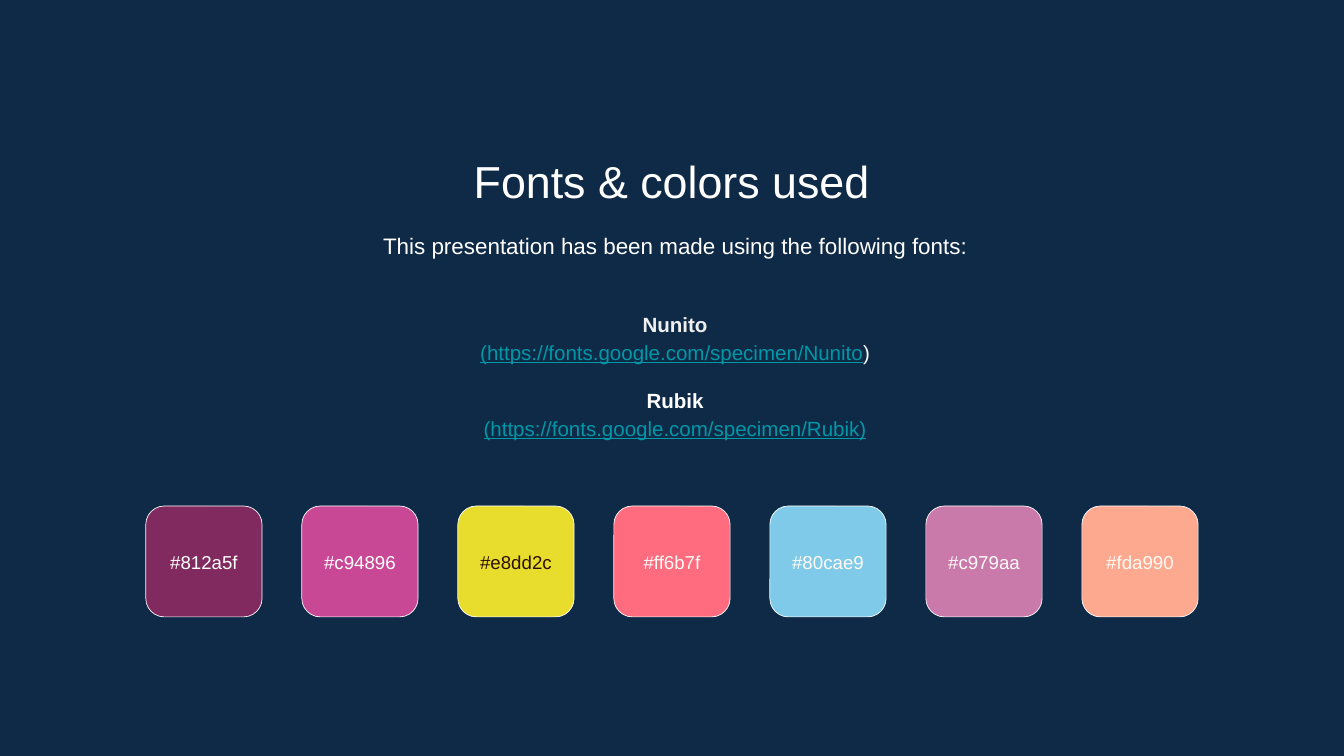
from dataclasses import dataclass

from lxml.etree import SubElement
from pptx import Presentation
from pptx.dml.color import RGBColor
from pptx.enum.shapes import MSO_SHAPE
from pptx.enum.text import MSO_ANCHOR as Anchor, MSO_AUTO_SIZE as AutoSize, PP_ALIGN as Align
from pptx.oxml.ns import qn
from pptx.shapes.group import GroupShape
from pptx.text.text import TextFrame
from pptx.util import Inches, Pt

FONT = "Arial"
NAVY = RGBColor(0x0E, 0x2A, 0x47)
WHITE = RGBColor(0xFF, 0xFF, 0xFF)
CREAM = RGBColor(0xFF, 0xFA, 0xF4)
LIGHT_GRAY = RGBColor(0xEF, 0xEF, 0xEF)
BROWN = RGBColor(0x2C, 0x11, 0x00)
TEAL = RGBColor(0x00, 0x97, 0xA7)
PLUM = RGBColor(0x81, 0x2A, 0x5F)
MAGENTA = RGBColor(0xC9, 0x48, 0x96)
YELLOW = RGBColor(0xE8, 0xDD, 0x2C)
CORAL = RGBColor(0xFF, 0x6B, 0x7F)
SKY = RGBColor(0x80, 0xCA, 0xE9)
MAUVE = RGBColor(0xC9, 0x79, 0xAA)
PEACH = RGBColor(0xFD, 0xA9, 0x90)

SWATCH_WIDTH, SWATCH_HEIGHT, SWATCH_TOP = 1.73, 1.65, 7.53
FIRST_LEFT, LAST_LEFT = 2.17, 16.1
LABEL_TOP, LABEL_HEIGHT = 7.88, 0.96


@dataclass
class TextRun:
    text: str
    color: RGBColor = WHITE
    bold: bool = False
    underline: bool = False


@dataclass
class Line:
    runs: list[TextRun]
    space_before: float = 0


@dataclass
class Swatch:
    fill: RGBColor
    label_color: RGBColor


SUBTITLE = [Line([TextRun("This presentation has been made using the following fonts:")])]
FONT_LINES = [
    Line([TextRun("Nunito", LIGHT_GRAY, bold=True)]),
    Line([
        TextRun("(https://fonts.google.com/specimen/Nunito", TEAL, underline=True),
        TextRun(")"),
    ]),
    Line([TextRun("Rubik", bold=True)], space_before=21),
    Line([TextRun("(https://fonts.google.com/specimen/Rubik)", TEAL, underline=True)]),
]
SWATCHES = [
    Swatch(PLUM, WHITE),
    Swatch(MAGENTA, WHITE),
    Swatch(YELLOW, BROWN),
    Swatch(CORAL, CREAM),
    Swatch(SKY, CREAM),
    Swatch(MAUVE, CREAM),
    Swatch(PEACH, CREAM),
]


def write_lines(frame: TextFrame, lines: list[Line], size: float,
                anchor: Anchor = Anchor.TOP, spacing: float = 1.0) -> None:
    frame.word_wrap = True
    frame.auto_size = AutoSize.NONE
    frame.vertical_anchor = anchor
    frame.margin_left = frame.margin_right = Inches(0.2)
    frame.margin_top = frame.margin_bottom = Inches(0.2)
    for index, line in enumerate(lines):
        paragraph = frame.add_paragraph() if index else frame.paragraphs[0]
        properties = paragraph._p.get_or_add_pPr()
        properties.set("marL", "0")
        properties.set("indent", "0")
        SubElement(properties, qn("a:buNone"))
        paragraph.alignment = Align.CENTER
        paragraph.line_spacing = spacing
        paragraph.space_before = Pt(line.space_before)
        for item in line.runs:
            run = paragraph.add_run()
            run.text = item.text
            run.font.name = FONT
            run.font.size = Pt(size)
            run.font.bold = item.bold
            run.font.underline = item.underline
            run.font.color.rgb = item.color


def place(shape, left: float, top: float, width: float, height: float) -> None:
    shape.left, shape.top = Inches(left), Inches(top)
    shape.width, shape.height = Inches(width), Inches(height)


def draw_swatch(group: GroupShape, swatch: Swatch, left: float) -> None:
    tile = group.shapes.add_shape(
        MSO_SHAPE.ROUNDED_RECTANGLE, Inches(left), Inches(SWATCH_TOP),
        Inches(SWATCH_WIDTH), Inches(SWATCH_HEIGHT))
    tile.shadow.inherit = False
    tile.fill.solid()
    tile.fill.fore_color.rgb = swatch.fill
    tile.line.color.rgb = WHITE
    tile.line.width = Pt(0.75)
    label = group.shapes.add_textbox(
        Inches(left), Inches(LABEL_TOP), Inches(SWATCH_WIDTH), Inches(LABEL_HEIGHT))
    text = f"#{swatch.fill}".lower()
    write_lines(label.text_frame, [Line([TextRun(text, swatch.label_color)])], 20, Anchor.MIDDLE)


def main() -> None:
    presentation = Presentation()
    presentation.slide_width = Inches(20)
    presentation.slide_height = Inches(11.25)
    slide = presentation.slides.add_slide(presentation.slide_layouts.get_by_name("Two Content"))
    slide.background.fill.solid()
    slide.background.fill.fore_color.rgb = NAVY

    title, subtitle, font_list = list(slide.placeholders)[:3]
    place(title, 2.29, 2.09, 15.41, 1.06)
    write_lines(title.text_frame, [Line([TextRun("Fonts & colors used")])], 48)
    place(subtitle, 2.34, 3.19, 15.41, 0.96)
    write_lines(subtitle.text_frame, SUBTITLE, 24, spacing=1.15)
    place(font_list, 2.34, 4.2, 15.41, 2.74)
    write_lines(font_list.text_frame, FONT_LINES, 22, Anchor.MIDDLE, 1.15)

    palette = slide.shapes.add_group_shape()
    pitch = (LAST_LEFT - FIRST_LEFT) / (len(SWATCHES) - 1)
    for index, swatch in enumerate(SWATCHES):
        draw_swatch(palette, swatch, FIRST_LEFT + index * pitch)

    presentation.save("out.pptx")


if __name__ == "__main__":
    main()
